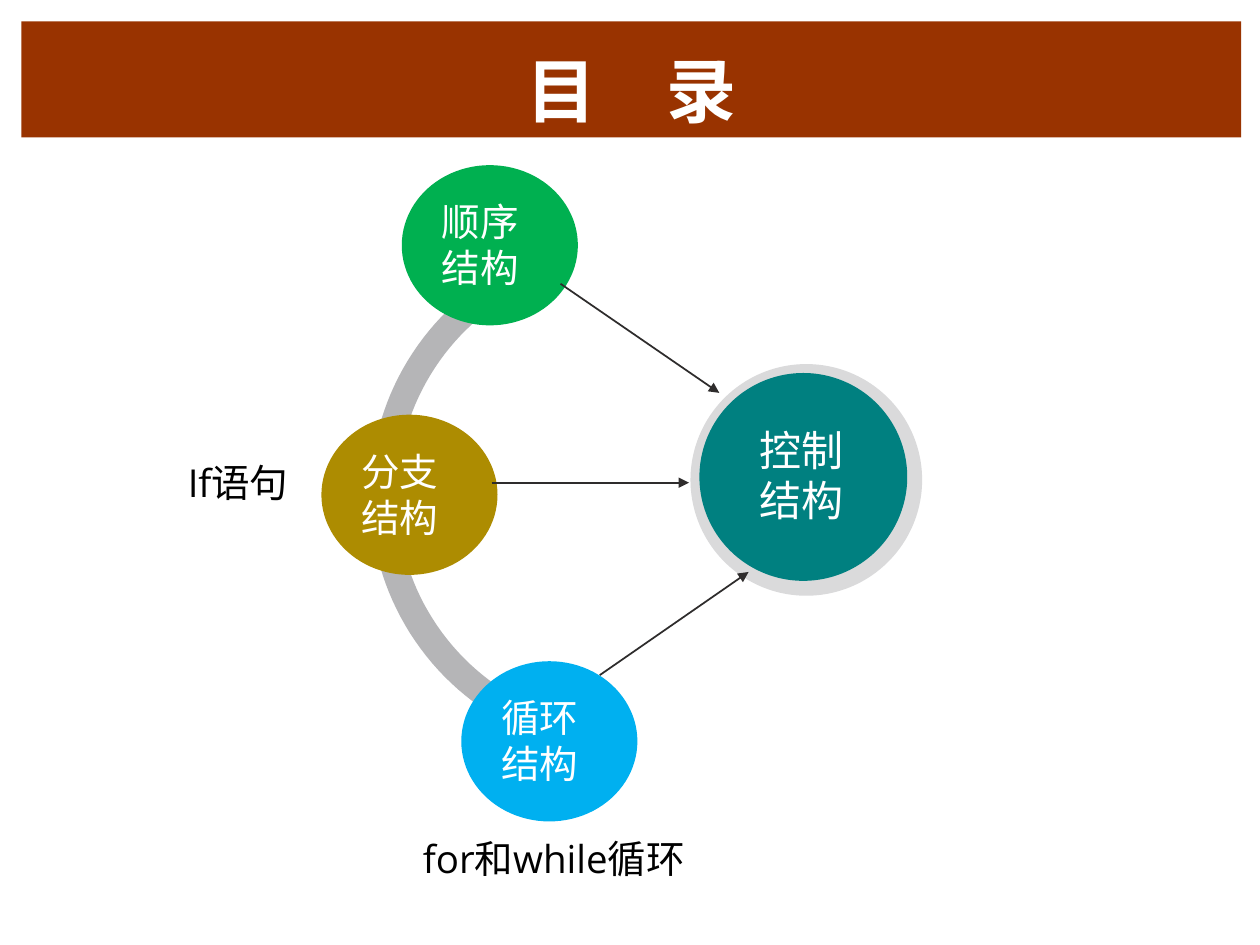
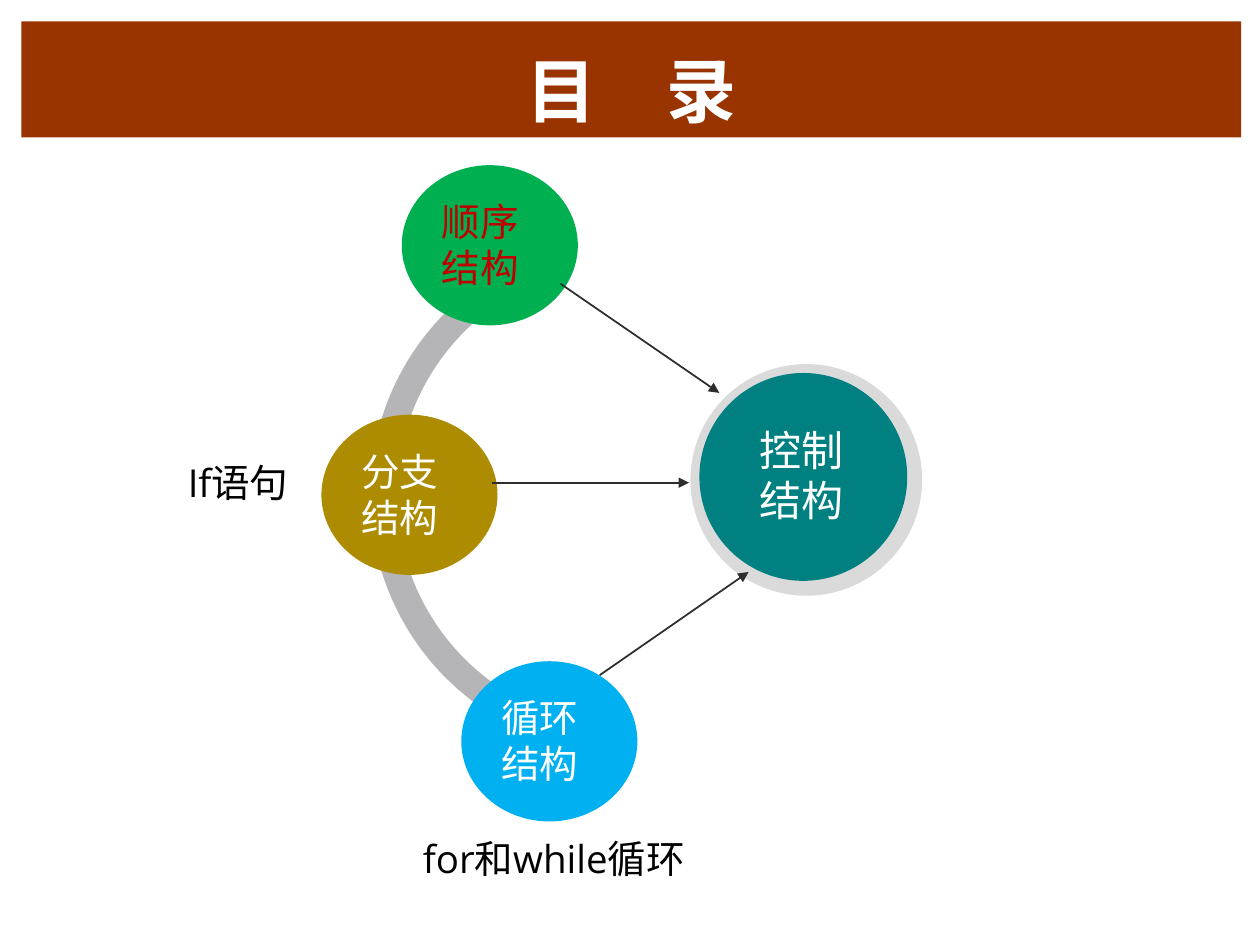
import math
from dataclasses import dataclass

from lxml import etree
from pptx import Presentation
from pptx import util as u
from pptx.dml.color import RGBColor
from pptx.enum import shapes, text
from pptx.oxml import ns


@dataclass(frozen=True)
class Theme:
    band: str = "993300"
    white: str = "FFFFFF"
    black: str = "000000"
    highlight: str = "C00000"
    ring: str = "B5B5B7"
    halo: str = "DADADB"
    hub: str = "008080"
    arrow: str = "2E2C2C"
    sequence: str = "00B050"
    branch: str = "AD8C01"
    loop: str = "00B0F0"
    latin: str = "Open Sans"
    chinese: str = "Noto Sans CJK SC"
    title_size: int = 40
    hub_size: int = 24
    label_size: int = 22
    line_ratio: float = 1.2


@dataclass(frozen=True)
class Box:
    left: float
    top: float
    width: float
    height: float

    def inner(self, left, top, width, height):
        return Box(self.left + left, self.top + top, width, height)

    def point(self, x, y):
        return u.Cm(self.left + x), u.Cm(self.top + y)

    def lengths(self):
        return [u.Cm(n) for n in (self.left, self.top, self.width, self.height)]


THEME = Theme()
TITLE_BOX = Box(0.43, 0.43, 24.59, 2.34)
DIAGRAM_BOX = Box(3.1, 3.33, 15.5, 14.6)
NODE_SIZE = (3.55, 3.23)
CENTER, RIGHT = text.PP_ALIGN.CENTER, text.PP_ALIGN.RIGHT

# Label, colour and place of each outer node
NODES = [
    ("顺序结构", THEME.sequence, (5.0, 0)),
    ("分支结构", THEME.branch, (3.38, 5.03)),
    ("循环结构", THEME.loop, (6.2, 10.0)),
]
ARROWS = [
    ((8.2, 2.39), (11.4, 4.59)),
    ((8.99, 10.28), (11.99, 8.2)),
    ((6.81, 6.4), (10.79, 6.4)),
]


def format_span(span, size, color, latin=THEME.chinese, bold=False):
    span.font.size = u.Pt(size)
    span.font.name = latin
    span.font.bold = bold
    span.font.color.rgb = RGBColor.from_string(color)
    east_asian = etree.SubElement(span.font._element, ns.qn("a:ea"))
    east_asian.set("typeface", THEME.chinese)


def paint(shape, color):
    shape.shadow.inherit = False
    shape.fill.solid()
    shape.fill.fore_color.rgb = RGBColor.from_string(color)
    shape.line.fill.background()


def add_ellipse(page, box, color):
    paint(page.shapes.add_shape(shapes.MSO_SHAPE.OVAL, *box.lengths()), color)


def add_label(page, box, words, size, color, align=CENTER, latin=THEME.chinese):
    frame = page.shapes.add_textbox(*box.lengths()).text_frame
    frame.word_wrap = True
    frame.auto_size = text.MSO_AUTO_SIZE.SHAPE_TO_FIT_TEXT
    frame.text = words
    para = frame.paragraphs[0]
    para.alignment = align
    para.line_spacing = u.Pt(size * THEME.line_ratio)
    format_span(para.runs[0], size, color, latin)


def add_arrow(page, start, end):
    arrow = page.shapes.add_connector(shapes.MSO_CONNECTOR.STRAIGHT, *start, *end)
    arrow.line.width = u.Pt(1)
    arrow.line.color.rgb = RGBColor.from_string(THEME.arrow)
    head = etree.SubElement(arrow.line._get_or_add_ln(), ns.qn("a:tailEnd"))
    head.set("type", "triangle")
    etree.SubElement(arrow._element.spPr, ns.qn("a:effectLst"))


def add_ring(page, box, center, outer, inner, start, end, steps=60):
    """Draw an open ring between two angles, in degrees clockwise from the right."""
    def arc(radius):
        angles = [math.radians(start + (end - start) * i / steps) for i in range(steps + 1)]
        return [box.point(center[0] + radius * math.cos(a), center[1] + radius * math.sin(a))
                for a in angles]

    first, *rest = arc(outer) + arc(inner)[::-1]
    builder = page.shapes.build_freeform(*first, scale=1.0)
    builder.add_line_segments(rest, close=True)
    paint(builder.convert_to_shape(), THEME.ring)


def add_title_band(page, box):
    title = page.shapes.title
    title.left, title.top, title.width, title.height = box.lengths()
    paint(title, THEME.band)
    frame = title.text_frame
    frame.vertical_anchor = text.MSO_ANCHOR.BOTTOM
    frame.auto_size = text.MSO_AUTO_SIZE.NONE
    para = frame.paragraphs[0]
    para.alignment = CENTER
    for character in "目 录":
        span = para.add_run()
        span.text = character
        format_span(span, THEME.title_size, THEME.white, THEME.latin, bold=True)
        if character == " ":  # one widened space sets the two characters apart
            span.font._element.set("spc", "3100")


def add_structure_diagram(page, box, current=None):
    # Halo and ring behind the nodes
    add_ellipse(page, box.inner(10.82, 4.01, 4.67, 4.67), THEME.halo)
    add_ring(page, box, center=(9.57, 6.65), outer=5.21, inner=4.67, start=119, end=242)

    # Outer nodes, arrows and hub
    for _, color, place in NODES:
        add_ellipse(page, box.inner(*place, *NODE_SIZE), color)
    for start, end in ARROWS:
        add_arrow(page, box.point(*start), box.point(*end))
    add_ellipse(page, box.inner(11.0, 4.19, 4.19, 4.19), THEME.hub)

    # Labels on the nodes and the hub
    for words, _, (left, top) in NODES:
        color = THEME.highlight if words == current else THEME.white
        add_label(page, box.inner(left + 0.45, top + 0.54, 2.26, 2.13), words,
                  THEME.label_size, color)
    add_label(page, box.inner(11.58, 5.1, 2.95, 2.36), "控制结构", THEME.hub_size, THEME.white)

    # Statements beside the nodes
    add_label(page, box.inner(0, 5.79, 3.4, 1.19), "If语句",
              THEME.label_size, THEME.black, latin=THEME.latin)
    add_label(page, box.inner(4.19, 13.38, 6.76, 1.19), "for和while循环",
              THEME.label_size, THEME.black, RIGHT, THEME.latin)


def add_contents_page(deck, current=None):
    page = deck.slides.add_slide(deck.slide_layouts.get_by_name("Title Only"))
    add_title_band(page, TITLE_BOX)
    add_structure_diagram(page, DIAGRAM_BOX, current)


deck = Presentation()
deck.slide_width, deck.slide_height = u.Cm(25.4), u.Cm(19.05)
for current in (None, "顺序结构"):
    add_contents_page(deck, current)
deck.save("out.pptx")
